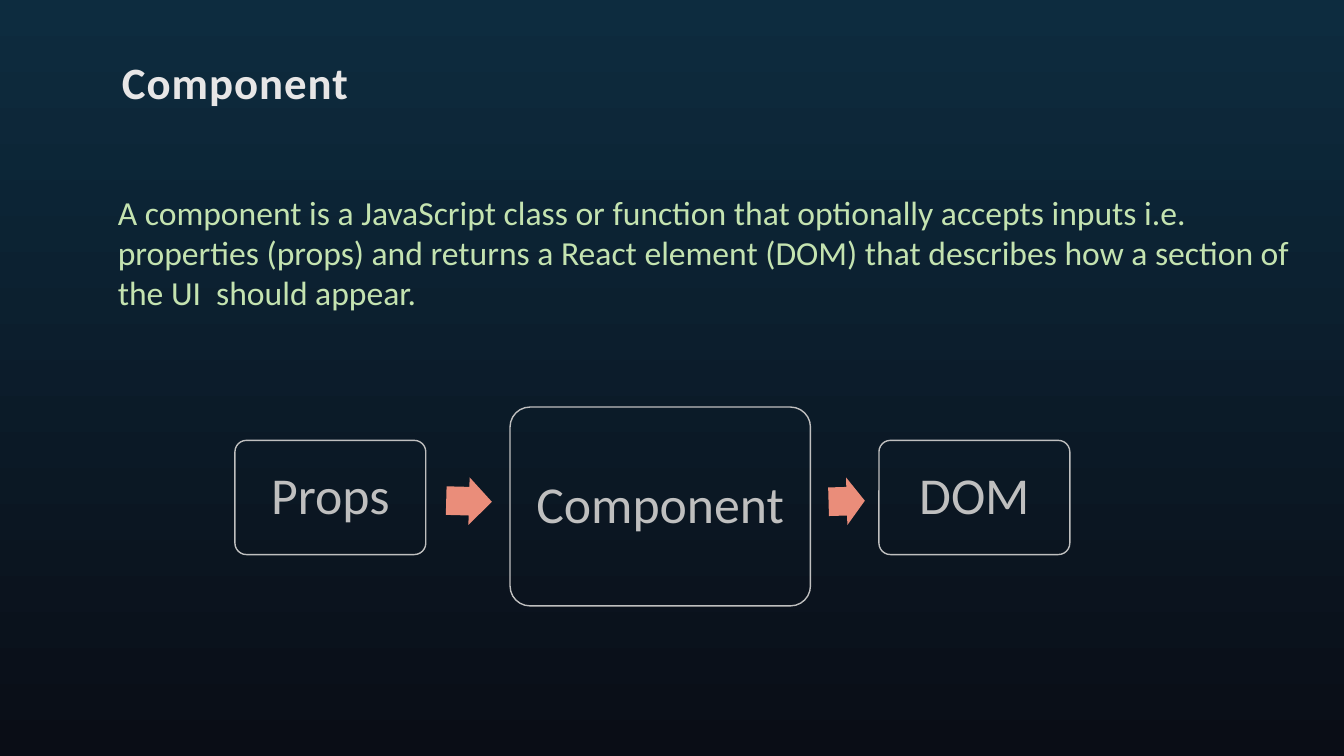
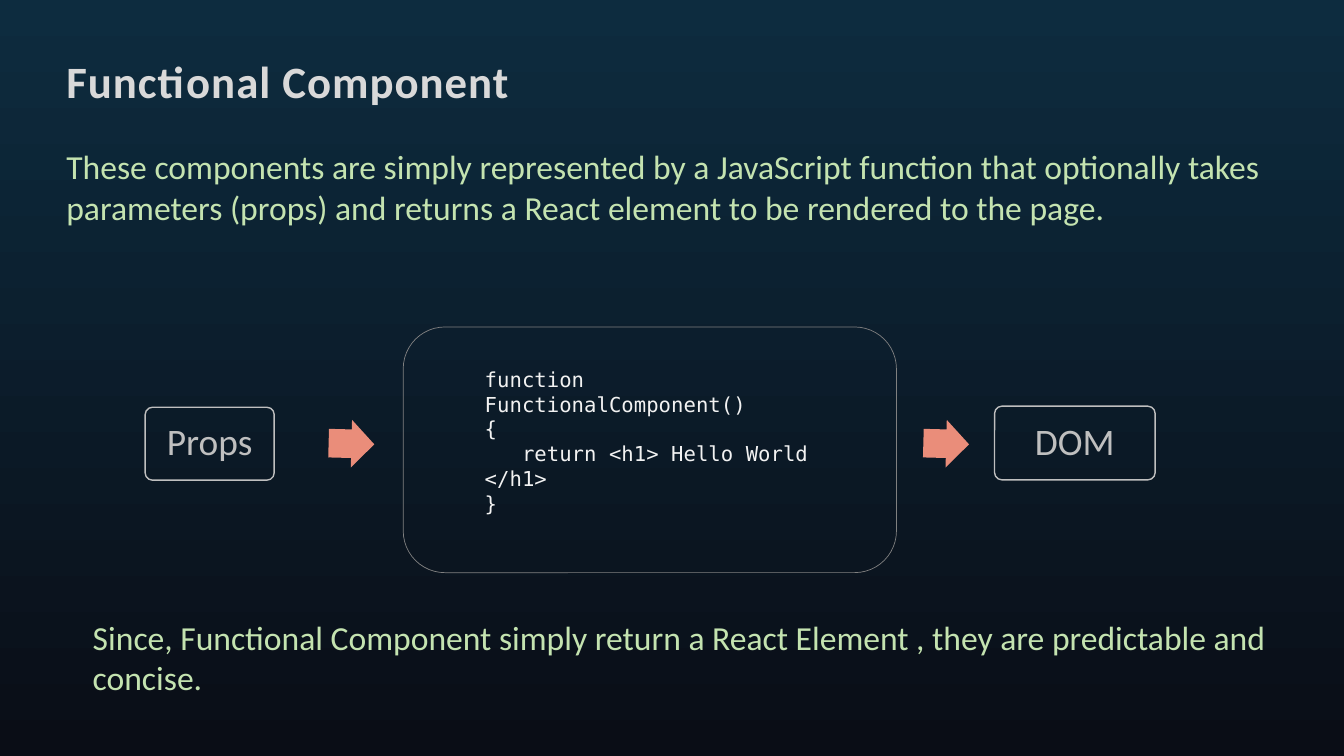
from pptx import Presentation
from pptx.dml.color import RGBColor
from pptx.enum.shapes import MSO_SHAPE
from pptx.enum.text import MSO_ANCHOR, PP_ALIGN
from pptx.util import Inches, Pt

ROUNDED, ARROW = MSO_SHAPE.ROUNDED_RECTANGLE, MSO_SHAPE.RIGHT_ARROW
TOP, MIDDLE = MSO_ANCHOR.TOP, MSO_ANCHOR.MIDDLE
LEFT, CENTER = PP_ALIGN.LEFT, PP_ALIGN.CENTER

# Shared look
SANS, MONO = "Calibri", "DejaVu Sans Mono"
SKY, NIGHT = "0D2C3F", "0A0D16"
GREEN, SILVER, CORAL = "C4E3B0", "BFBFBF", "EA8D7A"
GRAY, CODE_WHITE = "808080", "F2F2F2"
TITLE = dict(size=32, bold=True, tracking=70)
BODY = dict(size=24, colour=GREEN)
rgb = RGBColor.from_string

prs = Presentation()
prs.slide_width, prs.slide_height = Inches(13.333), Inches(7.5)
# Grid of 100 columns by 100 rows
COL, ROW = prs.slide_width / 100, prs.slide_height / 100

# Background gradient for every slide
backdrop = prs.slide_master.background.fill
backdrop.gradient()
backdrop.gradient_angle = 270
for stop, colour in zip(backdrop.gradient_stops, (SKY, NIGHT)):
    stop.color.rgb = rgb(colour)


def write(holder, lines, size, colour, font=SANS, bold=False, tracking=0,
          anchor=TOP, align=LEFT, spacing=1.0, inset=None):
    frame = holder.text_frame
    frame.word_wrap = True
    frame.vertical_anchor = anchor
    if inset is not None:
        frame.margin_left = frame.margin_right = Inches(inset)
        frame.margin_top = frame.margin_bottom = Inches(inset)
    for i, line in enumerate(lines):
        para = frame.add_paragraph() if i else frame.paragraphs[0]
        para.alignment = align
        para.line_spacing = spacing
        run = para.add_run()
        run.text = line
        run.font.name, run.font.size, run.font.bold = font, Pt(size), bold
        run.font.color.rgb = rgb(colour)
        if tracking:
            run.font._element.set("spc", str(tracking))


def draw(slide, preset, left, middle, width, height, adjust, fill=None, line=None, weight=1):
    shape = slide.shapes.add_shape(preset, round(left * COL), round((middle - height / 2) * ROW),
                                   round(width * COL), round(height * ROW))
    shape.shadow.inherit = False
    for i, value in enumerate(adjust):
        shape.adjustments[i] = value
    if fill:
        shape.fill.solid()
        shape.fill.fore_color.rgb = rgb(fill)
    else:
        shape.fill.background()
    if line:
        shape.line.color.rgb = rgb(line)
        shape.line.width = Pt(weight)
    else:
        shape.line.fill.background()
    return shape


# Texts: left, top, width, height in grid units, lines, style
# Boxes: label, left, middle, width, height; arrows: left, middle, width, turn
pages = [
    dict(
        texts=[
            (8.33, 6.53, 33.3, 8.53, ["Component"], dict(TITLE, colour="E7E6E6")),
            (8.03, 24.67, 90, 17.47,
             ["A component is a JavaScript class or function that optionally accepts inputs i.e. "
              "properties (props) and returns a React element (DOM) that describes how a section "
              "of the UI  should appear."], BODY),
        ],
        label_size=37,
        boxes=[("Props", 17.48, 65.8, 14.2, 15.1),
               ("Component", 37.95, 67, 22.35, 26.3),
               ("DOM", 65.4, 65.8, 14.2, 15.1)],
        arrows=[(33.2, 66.3, 3.4, 1.5), (61.65, 66.3, 2.7, -1.6)],
        panels=[],
    ),
    dict(
        texts=[
            (4.2, 5.33, 91.73, 11.6, ["Functional Component"],
             dict(TITLE, colour="D9D9D9", anchor=MIDDLE, spacing=0.9)),
            (4.2, 18.67, 91.73, 17.2,
             ["These components are simply represented by a JavaScript function that optionally "
              "takes parameters (props) and returns a React element to be rendered to the page."],
             BODY),
            (6.9, 81.6, 89.03, 16.1,
             ["Since, Functional Component simply return a React Element , they are predictable "
              "and concise."], dict(BODY, inset=0)),
            (35.33, 47.87, 25.95, 21.1,
             ["function FunctionalComponent()", "{", "   return <h1> Hello World </h1>", "}"],
             dict(size=14.7, colour=CODE_WHITE, font=MONO)),
        ],
        label_size=26.7,
        boxes=[("Props", 10.8, 58.7, 9.6, 9.65), ("DOM", 74, 58.6, 11.95, 9.75)],
        arrows=[(24.45, 58.7, 3.4, 1.5), (68.7, 58.7, 3.4, 1.5)],
        panels=[(30, 59.5, 36.7, 32.5)],
    ),
]

for page in pages:
    slide = prs.slides.add_slide(prs.slide_layouts[6])

    # Code panel
    for area in page["panels"]:
        draw(slide, ROUNDED, *area, adjust=[0.17], line=GRAY, weight=0.5)

    # Flow from props to DOM
    for label, *area in page["boxes"]:
        box = draw(slide, ROUNDED, *area, adjust=[0.1], line=SILVER)
        write(box, [label], page["label_size"], SILVER, anchor=MIDDLE, align=CENTER,
              spacing=0.9, inset=0.1)
    for left, middle, width, turn in page["arrows"]:
        arrow = draw(slide, ARROW, left, middle, width, 6.3, adjust=[0.6, 0.5], fill=CORAL)
        arrow.rotation = turn

    # Title, explanations and code
    for left, top, width, height, lines, style in page["texts"]:
        block = slide.shapes.add_textbox(round(left * COL), round(top * ROW),
                                         round(width * COL), round(height * ROW))
        write(block, lines, **style)

prs.save("out.pptx")
